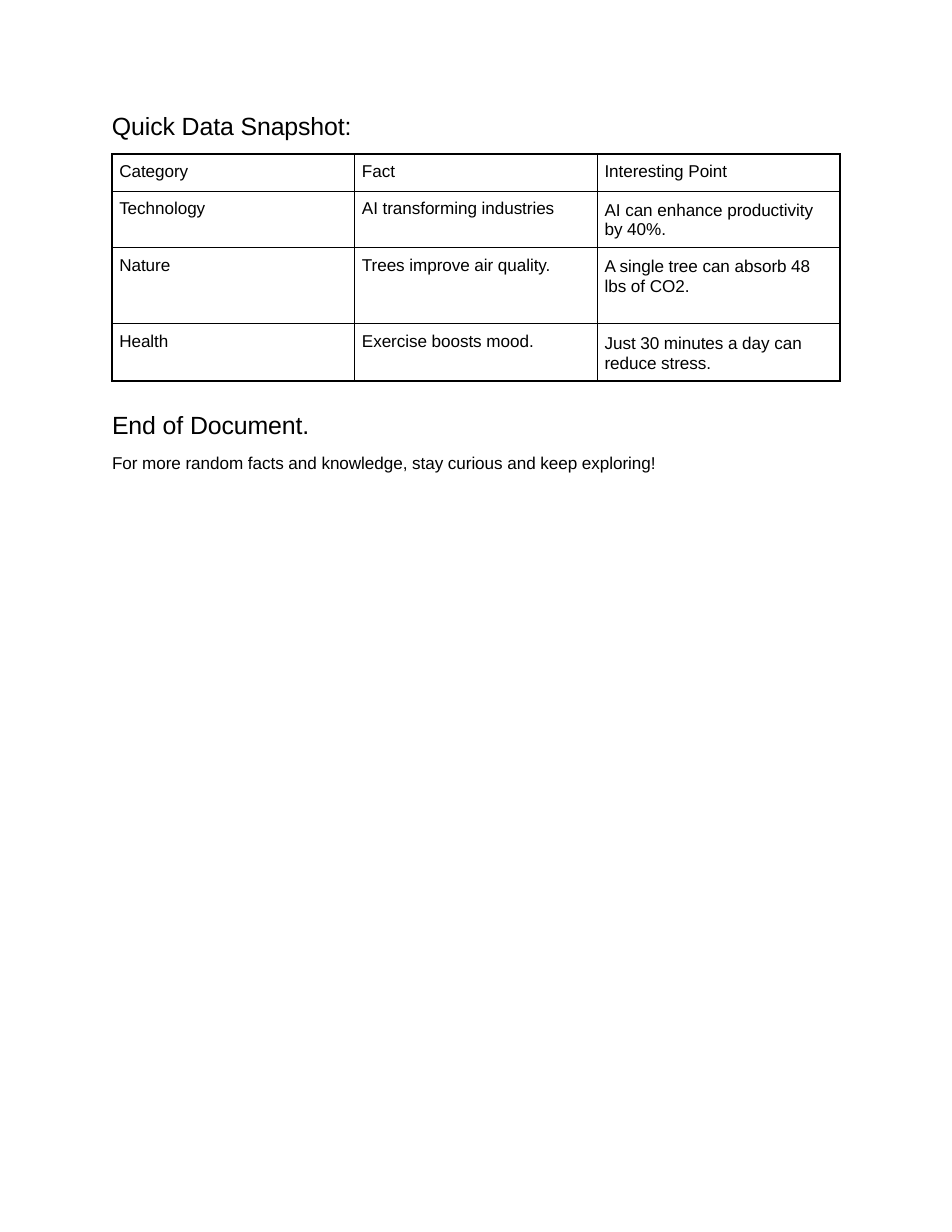
import pptx
import pptx.util
import pptx.dml.color
import pptx.oxml
import pptx.oxml.ns

Pt = pptx.util.Pt
INK = "000000"


def style(para, size):
    """Set the font, with slightly tight letter spacing."""
    para.font.name = "Arial"
    para.font.size = Pt(size)
    para.font.color.rgb = pptx.dml.color.RGBColor.from_string(INK)
    for run in para.runs:
        run._r.get_or_add_rPr().set("spc", "-5")


def add_text(top, width, height, lines):
    """Add a text box from (text, size, space before) lines."""
    box = slide.shapes.add_textbox(Pt(71.3), Pt(top), Pt(width), Pt(height))
    frame = box.text_frame
    frame.word_wrap = True
    frame.margin_left = Pt(0.7)
    frame.margin_top = Pt(1)
    frame.margin_right = frame.margin_bottom = 0
    for i, (text, size, gap) in enumerate(lines):
        para = frame.add_paragraph() if i else frame.paragraphs[0]
        para.text = text
        para.space_before = Pt(gap)
        style(para, size)


deck = pptx.Presentation()
deck.slide_width = Pt(612)
deck.slide_height = Pt(792)
slide = deck.slides.add_slide(deck.slide_layouts[6])

add_text(70, 158, 21, [("Quick Data Snapshot:", 16, 0)])

# Row height, top margin, texts
rows = [
    (24, 5, ["Category", "Fact", "Interesting Point"]),
    (36, 4.8, ["Technology", "AI transforming industries",
               "AI can enhance productivity by 40%."]),
    (49, 5.4, ["Nature", "Trees improve air quality.",
               "A single tree can absorb 48 lbs of CO2."]),
    (37, 5.6, ["Health", "Exercise boosts mood.",
               "Just 30 minutes a day can reduce stress."]),
]
wide = 156
total = sum(row[0] for row in rows)
table = slide.shapes.add_table(
    len(rows), 3, Pt(72), Pt(99), Pt(3 * wide), Pt(total)).table
table.first_row = False
table.horz_banding = False
for col in table.columns:
    col.width = Pt(wide)

for r, (height, top, texts) in enumerate(rows):
    table.rows[r].height = Pt(height)
    for c, text in enumerate(texts):
        cell = table.cell(r, c)
        cell.margin_left = Pt(4.7)
        cell.margin_right = Pt(10)
        cell.margin_bottom = 0
        cell.margin_top = Pt(top)
        cell.text = text
        para = cell.text_frame.paragraphs[0]
        style(para, 11)
        if r and c == 2:
            cell.margin_top = Pt(top + 0.8)
            para.line_spacing = Pt(12.6)
        cell.fill.background()
        props = cell._tc.get_or_add_tcPr()
        for i, side in enumerate(("lnL", "lnR", "lnT", "lnB")):
            props.insert(i, pptx.oxml.parse_xml(
                f'<a:{side} {pptx.oxml.ns.nsdecls("a")} w="{Pt(1)}"><a:solidFill>'
                f'<a:srgbClr val="{INK}"/></a:solidFill></a:{side}>'))

add_text(262.5, 356, 42.5, [
    ("End of Document.", 16, 0),
    ("For more random facts and knowledge, stay curious and keep exploring!",
     11, 8.2),
])

deck.save("out.pptx")
